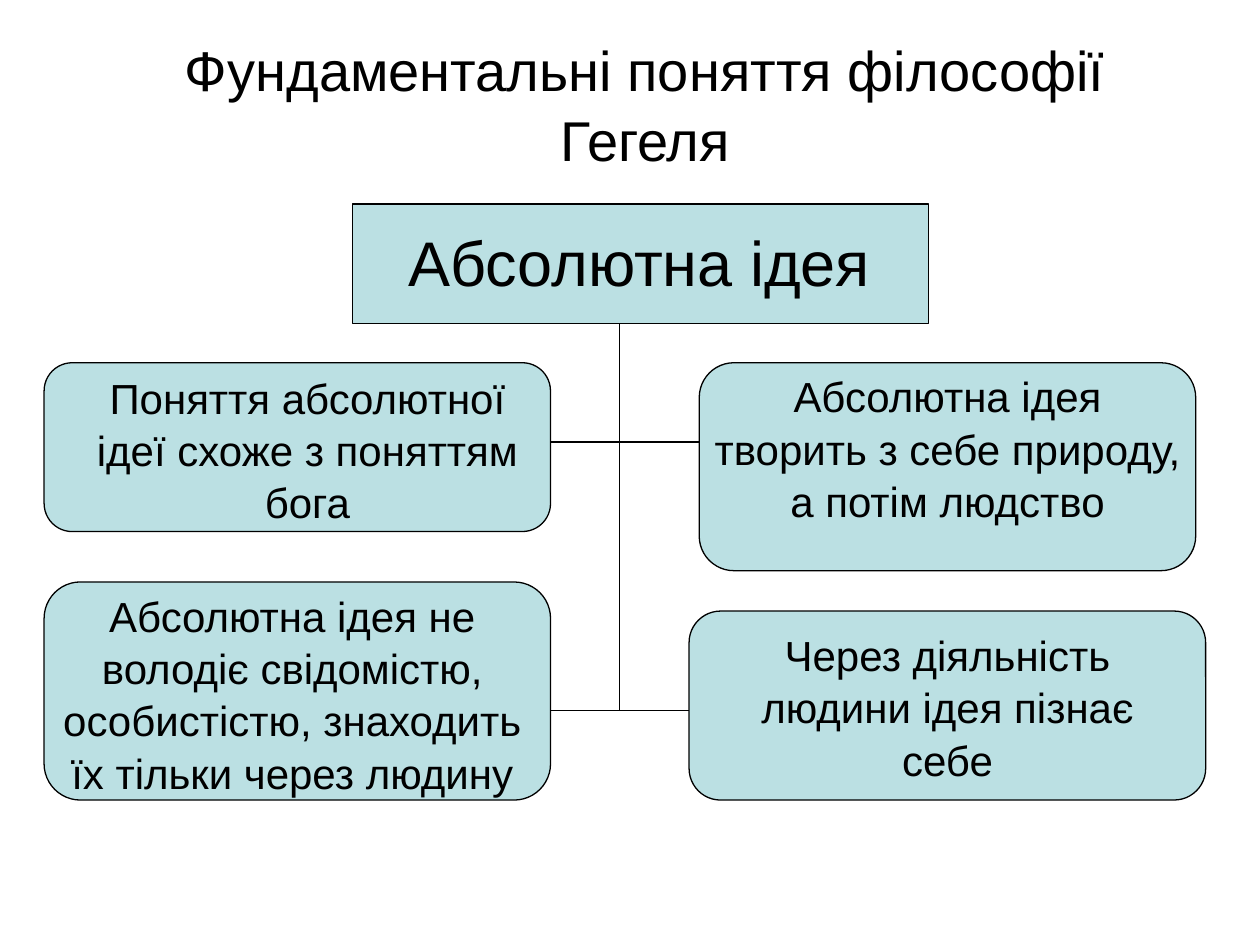
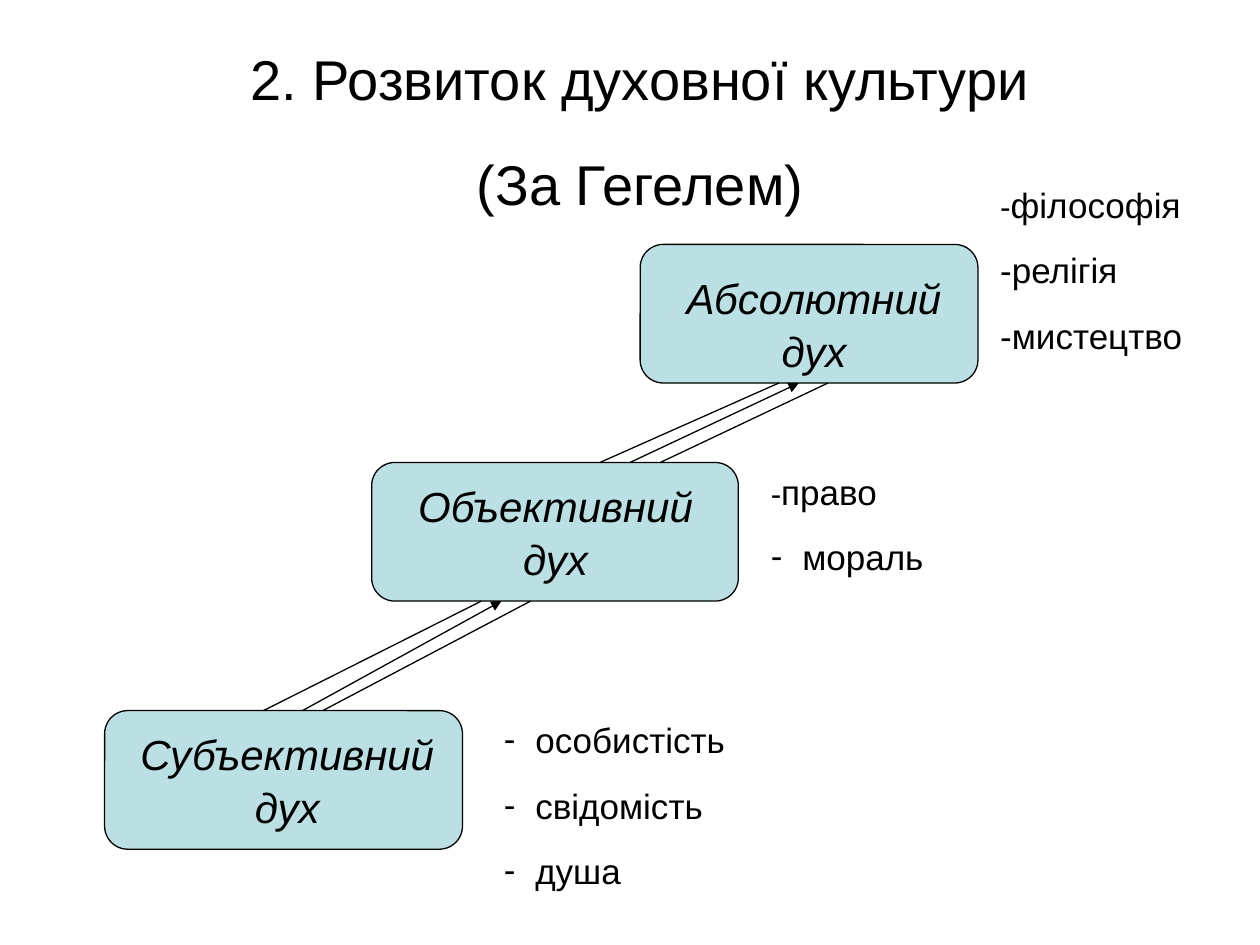
from lxml.etree import SubElement
from pptx import Presentation
from pptx.dml.color import RGBColor
from pptx.enum.shapes import MSO_CONNECTOR, MSO_SHAPE
from pptx.enum.text import PP_ALIGN
from pptx.oxml.ns import qn
from pptx.util import Pt

COLORS = {"fill": "BBE0E3", "ink": "000000"}
FONT = "Arial"
HAIRLINE = 0.75


def rgb(name):
    return RGBColor.from_string(COLORS[name])


def set_dash_bullet(p):
    pPr = p._p.get_or_add_pPr()
    pPr.set("marL", str(Pt(18)))
    pPr.set("indent", str(-Pt(18)))
    SubElement(pPr, qn("a:buFont"), typeface=FONT)
    SubElement(pPr, qn("a:buChar"), char="-")


def add_text(s, box, paragraphs, size, align=PP_ALIGN.LEFT, italic=False):
    """Write paragraphs; "* " at the start asks for a dash bullet, and a
    (text, size) pair stands for a run with its own size."""
    tf = s.shapes.add_textbox(*map(Pt, box)).text_frame
    tf.word_wrap = True
    for i, runs in enumerate(paragraphs):
        p = tf.paragraphs[0] if i == 0 else tf.add_paragraph()
        p.alignment = align
        p.line_spacing = 1.04
        p.space_before = Pt(size * 0.625)
        if isinstance(runs, str):
            if runs.startswith("* "):
                set_dash_bullet(p)
            runs = [(runs.removeprefix("* "), size)]
        for text, run_size in runs:
            r = p.add_run()
            r.text = text
            r.font.name = FONT
            r.font.size = Pt(run_size)
            r.font.italic = italic
            r.font.color.rgb = rgb("ink")


def add_title(s, box, *lines):
    add_text(s, box, lines, 32, PP_ALIGN.CENTER)


def add_node(s, box, label_box, label, size=24, italic=False,
             kind=MSO_SHAPE.ROUNDED_RECTANGLE):
    """Draw a filled box; label_box is measured from its top left corner."""
    x, y, w, h = box
    sp = s.shapes.add_shape(kind, *map(Pt, box))
    sp.shadow.inherit = False
    sp.fill.solid()
    sp.fill.fore_color.rgb = rgb("fill")
    sp.line.color.rgb = rgb("ink")
    sp.line.width = Pt(HAIRLINE)
    dx, dy, label_w, label_h = label_box
    add_text(s, (x + dx, y + dy, label_w, label_h), [label], size,
             PP_ALIGN.CENTER, italic)


def add_line(s, x1, y1, x2, y2, arrow=False):
    c = s.shapes.add_connector(MSO_CONNECTOR.STRAIGHT,
                               *map(Pt, (x1, y1, x2, y2)))
    c.line.color.rgb = rgb("ink")
    c.line.width = Pt(HAIRLINE)
    if arrow:
        SubElement(c.line._get_or_add_ln(), qn("a:tailEnd"), type="triangle")
    SubElement(c._element.spPr, qn("a:effectLst"))


def add_idea_tree(s, box):
    x, y, w, h = box
    # Root
    add_node(s, (x + 176.4, y, 329, 68.4), (5, 5.8, 317.5, 50.4),
             "Абсолютна ідея", size=36, kind=MSO_SHAPE.RECTANGLE)
    # Branches: box, label box, label
    left_w, lower_y, bottom = 289.4, 216, h
    branches = [
        ((0, 90.7, left_w, 96.5), (17.3, 0.7, 266.4, 93.6),
         "Поняття абсолютної ідеї схоже з поняттям бога"),
        ((0, lower_y, left_w, bottom - lower_y), (0, 0, 283.7, 122.4),
         "Абсолютна ідея не володіє свідомістю, особистістю, "
         "знаходить їх тільки через людину"),
        ((374.4, 90.7, 283.7, 118.8), (0, 0, 283.7, 122.4),
         "Абсолютна ідея творить з себе природу, а потім людство"),
        ((368.6, 232.6, w - 368.6, bottom - 232.6), (11.5, 5.8, 272.2, 93.6),
         "Через діяльність людини ідея пізнає себе"),
    ]
    for (dx, dy, bw, bh), label_box, label in branches:
        add_node(s, (x + dx, y + dy, bw, bh), label_box, label)
    # Trunk and cross lines
    trunk_x, low_line = x + 329, y + 289.4
    add_line(s, trunk_x, y + 68.4, trunk_x, low_line)
    for right, line_y in ((368.6, low_line), (374.4, y + 136)):
        add_line(s, x + left_w, line_y, x + right, line_y)


def add_spirit_stairs(s, box):
    x, y, w, h = box
    step_h = 79.2
    # Steps from the bottom up: left, top, width, label box, label,
    # then left, top and width of the list, and its items
    steps = [
        (0, h - step_h, 204.5, (5, 5.8, 198.7, 64.8), "Субъективний дух",
         (221, 0, 215.3), ["* особистість", "* свідомість", "* душа"]),
        (152.6, 124.6, 209.5, (11.5, 5.8, 187.2, 64.8), "Объективний дух",
         (221, 0, 198.7), [[("-", 18), ("право", 20)], "* мораль"]),
        (306, 0, 193, (11.5, 11.5, 175.7, 64.8), "Абсолютний дух",
         (198.7, -39.6, 141.8),
         [[("-", 18), ("філософія", 20)], "-релігія", "-мистецтво"]),
    ]
    for dx, dy, step_w, label_box, label, (list_x, list_y, list_w), items in steps:
        left, top = x + dx, y + dy
        add_node(s, (left, top, step_w, step_h), label_box, label, italic=True)
        add_text(s, (left + list_x, top + list_y, list_w, 104.4), items, 20)
    # Triple lines between steps: starts, ends; the middle one is an arrow
    flights = [((90.7, 113, 124.6), (215.3, 226.8, 243.4)),
               ((283, 300.2, 317.5), (385.2, 396.7, 413.3))]
    for i, (starts, ends) in enumerate(flights):
        start_y = y + steps[i][1]
        end_y = y + steps[i + 1][1] + step_h
        for j, (start, end) in enumerate(zip(starts, ends)):
            add_line(s, x + start, start_y, x + end, end_y, arrow=j == 1)


def main():
    prs = Presentation()
    prs.slide_width, prs.slide_height = Pt(720), Pt(540)
    blank = prs.slide_layouts[6]

    # Concepts
    s = prs.slides.add_slide(blank)
    add_title(s, (59.8, 15.1, 617.8, 84.2),
              "Фундаментальні поняття філософії Гегеля")
    add_idea_tree(s, (25.2, 116.6, 663.8, 340.6))

    # Spiritual culture
    s = prs.slides.add_slide(blank)
    add_spirit_stairs(s, (59.8, 139.7, 646.6, 345.6))
    add_title(s, (99.4, 20.2, 532.8, 104.4),
              "2. Розвиток духовної культури", "(За Гегелем)")

    prs.save("out.pptx")


if __name__ == "__main__":
    main()
